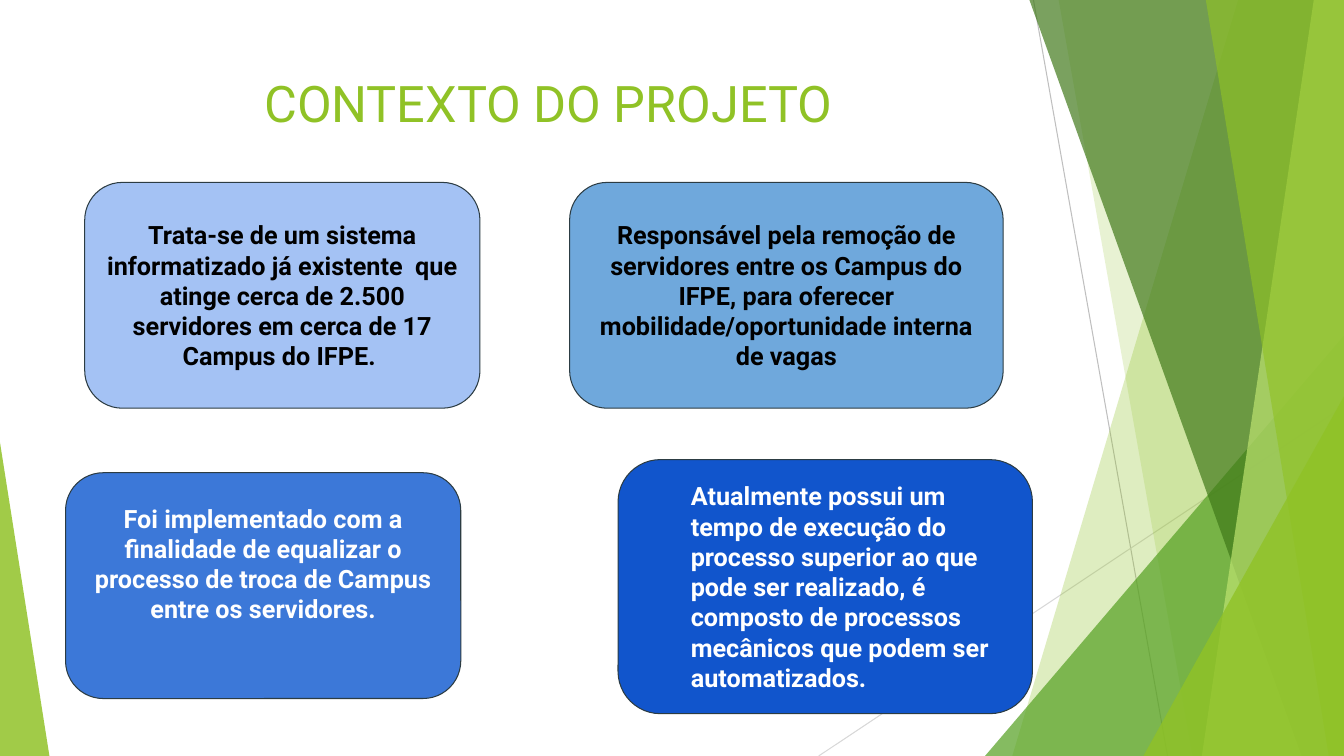
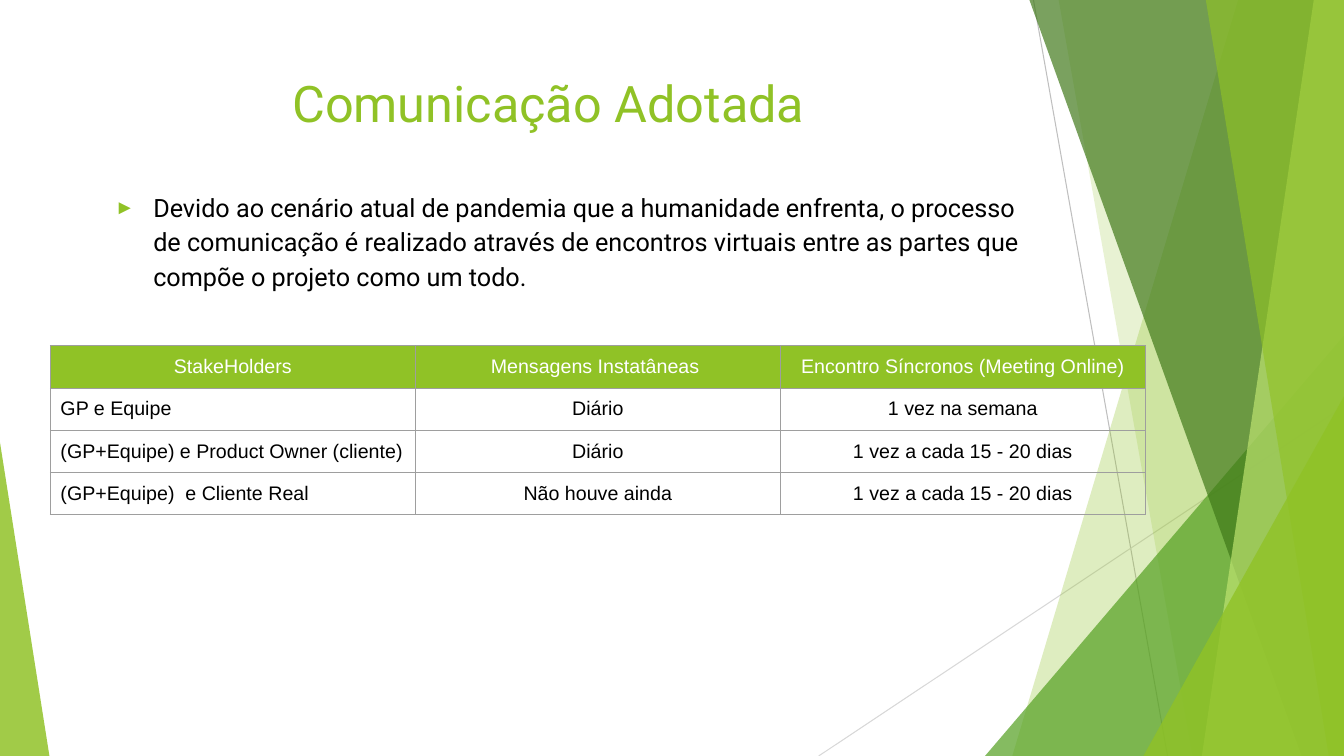
from lxml.etree import SubElement as Child
from pptx import Presentation
from pptx.dml.color import RGBColor as Color
from pptx.enum.shapes import MSO_CONNECTOR as Wire, MSO_SHAPE as Form
from pptx.enum.text import MSO_ANCHOR as Anchor, MSO_AUTO_SIZE as Fit, PP_ALIGN as Align
from pptx.oxml.ns import qn
from pptx.util import Inches, Pt

HUES = {
    "lime": "90C226", "leaf": "54A021", "moss": "3F7818", "pale": "BFE471",
    "silver": "BFBFBF", "mist": "D8D8D8", "grid": "9E9E9E", "edge": "2C3C43",
    "ice": "A4C2F4", "sky": "6FA8DC", "blue": "3C78D8", "navy": "1155CC",
    "black": "000000", "white": "FFFFFF",
}
WIDE, HIGH = 13.33, 7.5
RAYS = [((10.25, 0), (11.58, HIGH), "silver"), ((WIDE, 4.03), (8.12, HIGH), "mist")]
BLADES = [
    ("slab", 12.28, 10.04, "lime", 29),
    ("slab", 10.5, 11.83, "lime", 20),
    ("right", 3.56, 4.17, "leaf", 71),
    ("slab", 10.21, 12.91, "moss", 69),
    ("slab", 13.03, 11.92, "pale", 69),
    ("slab", 11.96, 13.18, "lime", 64),
    ("right", 1.99, 3.57, "lime", 80),
    ("left", 0.49, 3.11, "lime", 84),
]


def hue(name):
    return Color.from_string(HUES[name])


def write(frame, text, size=18, font="Roboto", color="black", bold=False, align=Align.LEFT,
          before=0, lines=1.0, indent=0, hang=0, bullet=None, anchor=Anchor.TOP,
          inset=(0.1, 0.05, 0.1, 0.05)):
    frame.word_wrap = True
    frame.auto_size = Fit.NONE
    frame.vertical_anchor = anchor
    (frame.margin_left, frame.margin_top,
     frame.margin_right, frame.margin_bottom) = map(Inches, inset)
    para = frame.paragraphs[0]
    para.alignment = align
    para.space_before = Pt(before)
    para.line_spacing = lines
    run = para.add_run()
    run.text = text
    run.font.name = font
    run.font.size = Pt(size)
    run.font.bold = bold
    run.font.color.rgb = hue(color)
    props = para._p.get_or_add_pPr()
    props.set("marL", str(Inches(indent)))
    props.set("indent", str(Inches(hang)))
    if bullet:
        Child(Child(props, qn("a:buClr")), qn("a:srgbClr"), val=HUES["lime"])
        Child(props, qn("a:buSzPct"), val="80000")
        Child(props, qn("a:buFont"), typeface="Arial")
        Child(props, qn("a:buChar"), char=bullet)
    else:
        Child(props, qn("a:buNone"))


class Deck:
    """Hold the shared style and the current slide."""

    def __init__(self):
        self.show = Presentation()
        self.show.slide_width = Inches(WIDE)
        self.show.slide_height = Inches(HIGH)
        self.slide = None
        self.count = 100

    def page(self, title, layout):
        self.slide = self.show.slides.add_slide(self.show.slide_layouts[layout])
        self.place(self.slide.shapes.title, 0.74, 0.67, 9.4, 1.44)
        write(self.slide.shapes.title.text_frame, title, size=36, color="lime",
              align=Align.CENTER)

    def place(self, shape, left, top, width, height):
        shape.left, shape.top = Inches(left), Inches(top)
        shape.width, shape.height = Inches(width), Inches(height)

    def paint(self, shape, color, alpha=None):
        shape.shadow.inherit = False
        shape.fill.solid()
        shape.fill.fore_color.rgb = hue(color)
        if alpha:
            shape.line.fill.background()
            tint = shape.element.xpath("./p:spPr/a:solidFill/a:srgbClr")[0]
            Child(tint, qn("a:alpha"), val=str(alpha * 1000))

    def share(self, shape):
        self.count += 1
        shape.element.xpath(".//p:cNvPr")[0].set("id", str(self.count))
        self.show.slide_master.shapes.element.append(shape.element)

    def ray(self, start, end, color):
        line = self.slide.shapes.add_connector(Wire.STRAIGHT, *map(Inches, start + end))
        line.line.color.rgb = hue(color)
        line.line.width = Pt(0.75)
        Child(line.element.spPr, qn("a:effectLst"))
        return line

    def slab(self, top, base):
        pen = self.slide.shapes.build_freeform(Inches(top), 0)
        spots = [(WIDE, 0), (WIDE, HIGH), (base, HIGH)]
        pen.add_line_segments([(Inches(x), Inches(y)) for x, y in spots])
        return pen.convert_to_shape()

    def wedge(self, side, width, height):
        left = WIDE - width if side == "right" else 0
        shape = self.slide.shapes.add_shape(
            Form.ISOSCELES_TRIANGLE, Inches(left), Inches(HIGH - height),
            Inches(width), Inches(height))
        shape.adjustments[0] = 1 if side == "right" else 0
        return shape

    def band(self):
        for ray in RAYS:
            self.share(self.ray(*ray))
        for kind, one, two, color, alpha in BLADES:
            shape = self.slab(one, two) if kind == "slab" else self.wedge(kind, one, two)
            self.paint(shape, color, alpha)
            self.share(shape)

    def card(self, spot, fill, text, base=0.1, **style):
        shape = self.slide.shapes.add_shape(
            Form.FLOWCHART_ALTERNATE_PROCESS, *map(Inches, spot))
        self.paint(shape, fill)
        shape.line.color.rgb = hue("edge")
        shape.line.width = Pt(0.75)
        write(shape.text_frame, text, bold=True, before=10, anchor=Anchor.MIDDLE,
              inset=(0.1, 0.1, 0.1, base), **style)

    def list(self, text):
        body = self.slide.placeholders[1]
        self.place(body, 0.92, 1.81, 9.4, 1.44)
        write(body.text_frame, text, before=12, lines=1.15, indent=0.5, hang=-0.38,
              bullet="►")

    def cell(self, cell, text, head, align):
        props = cell._tc.get_or_add_tcPr()
        for side in ("lnL", "lnR", "lnT", "lnB"):
            line = Child(props, qn("a:" + side), w=str(Pt(0.75)))
            Child(Child(line, qn("a:solidFill")), qn("a:srgbClr"), val=HUES["grid"])
        if head:
            cell.fill.solid()
            cell.fill.fore_color.rgb = hue("lime")
        else:
            cell.fill.background()
        write(cell.text_frame, text, size=14, font="Arial",
              color="white" if head else "black", align=align)
        cell.margin_left = cell.margin_right = Inches(0.1)
        cell.margin_top = cell.margin_bottom = Inches(0.1)

    def table(self, rows, left, top, width, height):
        wide = len(rows[0])
        frame = self.slide.shapes.add_table(
            len(rows), wide, Inches(left), Inches(top),
            Inches(width * wide), Inches(height * len(rows)))
        grid = frame.table
        grid.first_row = grid.horz_banding = False
        for r, row in enumerate(rows):
            for c, text in enumerate(row):
                align = Align.LEFT if r and not c else Align.CENTER
                self.cell(grid.cell(r, c), text, r == 0, align)


def main():
    deck = Deck()
    deck.page("CONTEXTO DO PROJETO", 5)
    deck.band()
    deck.card((0.84, 1.81, 3.92, 2.24), "ice",
              "Trata-se de um sistema informatizado já existente  que atinge cerca de "
              "2.500 servidores em cerca de 17 Campus do IFPE. ", align=Align.CENTER)
    deck.card((5.65, 1.81, 4.3, 2.24), "sky",
              "Responsável pela remoção de servidores entre os Campus do IFPE, para "
              "oferecer mobilidade/oportunidade interna de vagas", align=Align.CENTER)
    deck.card((0.65, 4.69, 3.92, 2.24), "blue",
              "Foi implementado com a finalidade de equalizar o processo de troca de "
              "Campus entre os servidores.", base=0.54, color="white", align=Align.CENTER)
    deck.card((6.13, 4.56, 4.11, 2.52), "navy",
              "Atualmente possui um tempo de execução do processo superior ao que pode "
              "ser realizado, é composto de processos mecânicos que podem ser "
              "automatizados.", color="white", indent=0.5)

    deck.page("Comunicação Adotada", 1)
    deck.list("Devido ao cenário atual de pandemia que a humanidade enfrenta, o processo "
              "de comunicação é realizado através de encontros virtuais entre as partes "
              "que compõe o projeto como um todo.")
    deck.table([
        ("StakeHolders", "Mensagens Instatâneas ", "Encontro Síncronos (Meeting Online)"),
        ("GP e Equipe", "Diário", "1 vez na semana"),
        ("(GP+Equipe) e Product Owner (cliente)", "Diário", "1 vez a cada 15 - 20 dias"),
        ("(GP+Equipe)  e Cliente Real", "Não houve ainda", "1 vez a cada 15 - 20 dias"),
    ], 0.5, 3.43, 3.62, 0.42)
    deck.show.save("out.pptx")


if __name__ == "__main__":
    main()
